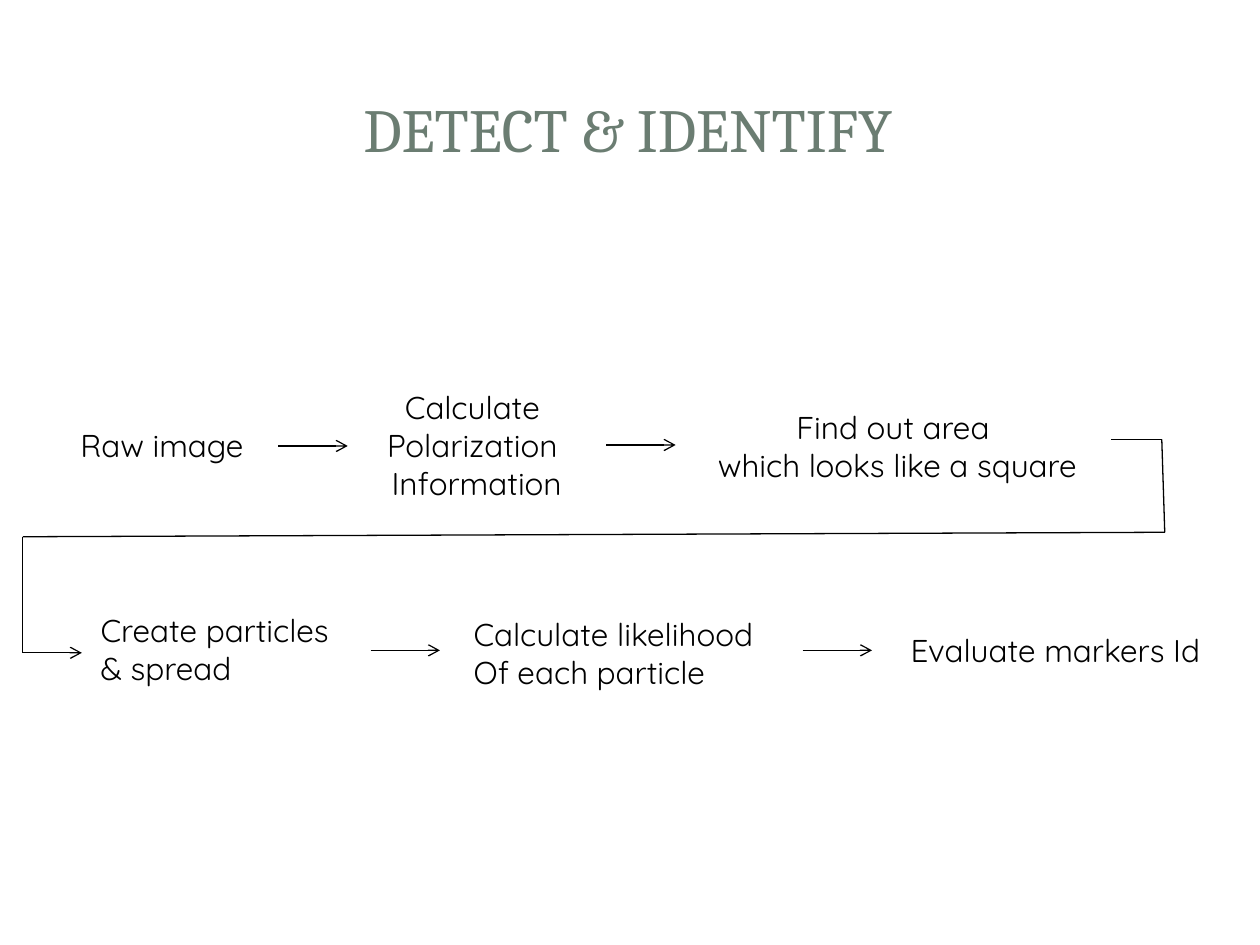
import itertools

import pptx
import pptx.dml.color
import pptx.enum.shapes
import pptx.enum.text
import pptx.oxml.ns
import pptx.util
from lxml import etree
from pptx.util import Cm

LEFT = pptx.enum.text.PP_ALIGN.LEFT
CENTER = pptx.enum.text.PP_ALIGN.CENTER


def color(hex_string):
    return pptx.dml.color.RGBColor.from_string(hex_string)


def add_line(start, end, arrow=False):
    """Draw a thin black line between two points given in centimetres."""
    line = slide.shapes.add_connector(
        pptx.enum.shapes.MSO_CONNECTOR.STRAIGHT,
        Cm(start[0]), Cm(start[1]), Cm(end[0]), Cm(end[1]))
    line.line.color.rgb = color("000000")
    line.line.width = pptx.util.Pt(0.75)
    if arrow:
        outline = line.line._get_or_add_ln()
        etree.SubElement(outline, pptx.oxml.ns.qn("a:tailEnd"), type="arrow")
    etree.SubElement(line._element.spPr, pptx.oxml.ns.qn("a:effectLst"))


presentation = pptx.Presentation()
presentation.slide_width = Cm(25.4)
presentation.slide_height = Cm(19.05)
slide = presentation.slides.add_slide(presentation.slide_layouts[6])

# Title
title = slide.shapes.add_textbox(Cm(1.19), Cm(1.14), Cm(22.94), Cm(2.9))
title.text_frame.word_wrap = True
title.text_frame.vertical_anchor = pptx.enum.text.MSO_ANCHOR.MIDDLE
title.text_frame.text = "DETECT & IDENTIFY"
paragraph = title.text_frame.paragraphs[0]
paragraph.alignment = CENTER
run = paragraph.runs[0]
run.font.name = "Cambria"
run.font.size = pptx.util.Pt(35)
run.font.color.rgb = color("6B7D72")

# Steps of the process: text, left, top, width, height, alignment
steps = [
    ("Raw image", 1.37, 8.46, 4.06, 1.02, LEFT),
    ("Calculate \nPolarization \nInformation", 7.49, 7.7, 4.24, 2.57, CENTER),
    ("Find out area \nwhich looks like a square", 14, 8.1, 8.18, 1.8, CENTER),
    ("Create particles\n& spread", 1.78, 12.19, 5.51, 1.8, LEFT),
    ("Calculate likelihood\nOf each particle", 9.3, 12.27, 6.88, 1.8, LEFT),
    ("Evaluate markers Id", 18.11, 12.6, 6.78, 1.02, LEFT),
]
for text, left, top, width, height, alignment in steps:
    step = slide.shapes.add_textbox(Cm(left), Cm(top), Cm(width), Cm(height))
    step.text_frame.word_wrap = False
    step.text_frame.auto_size = pptx.enum.text.MSO_AUTO_SIZE.SHAPE_TO_FIT_TEXT
    step.text_frame.text = text
    for paragraph in step.text_frame.paragraphs:
        paragraph.alignment = alignment
        for run in paragraph.runs:
            run.font.name = "Quicksand"
            run.font.size = pptx.util.Pt(18)
            run.font.color.rgb = color("000000")

# Short arrows between neighbouring steps
arrow_length = 1.4
for x, y in [(5.61, 8.99), (12.22, 8.97), (7.47, 13.11), (16.18, 13.11)]:
    add_line((x, y), (x + arrow_length, y), arrow=True)

# Path from the end of the first row to the start of the second
row_change = [(22.4, 8.86), (23.42, 8.86), (23.48, 10.73),
              (0.46, 10.82), (0.46, 13.16), (1.65, 13.16)]
for start, end in itertools.pairwise(row_change):
    add_line(start, end, arrow=end == row_change[-1])

presentation.save("out.pptx")
